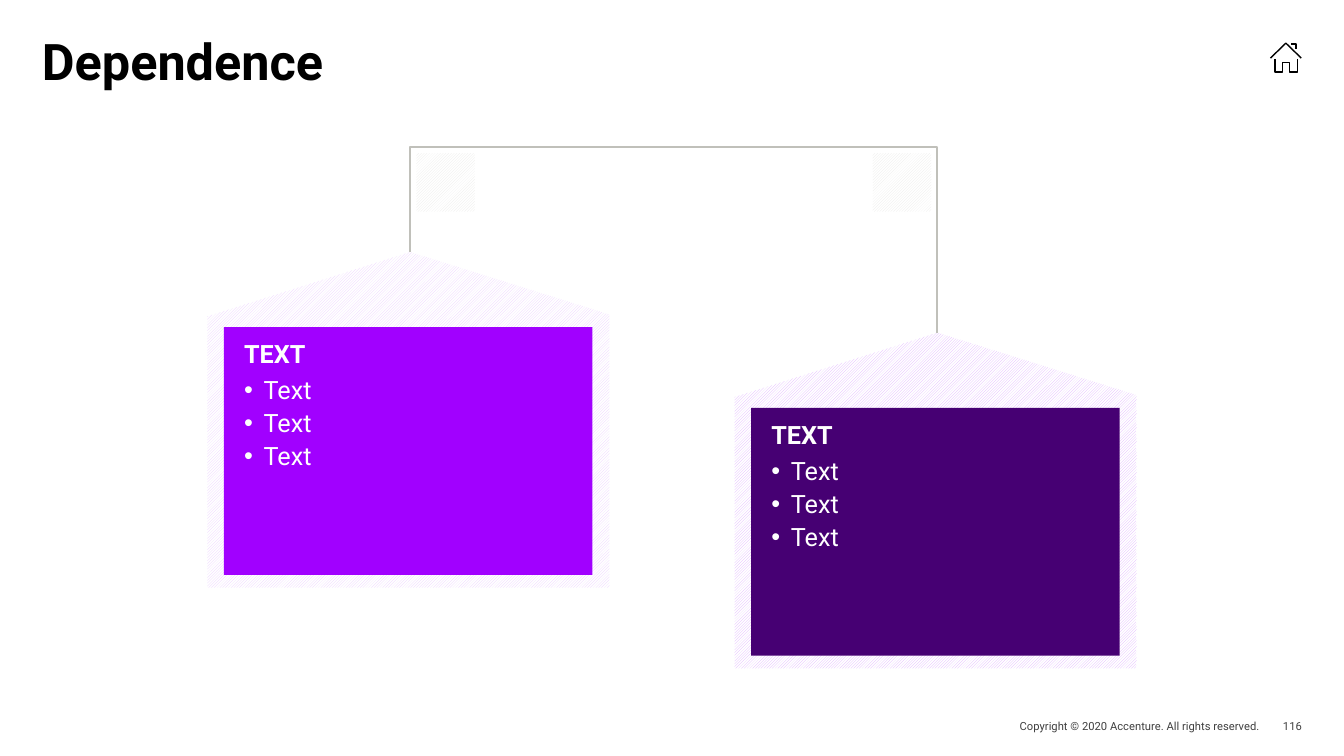
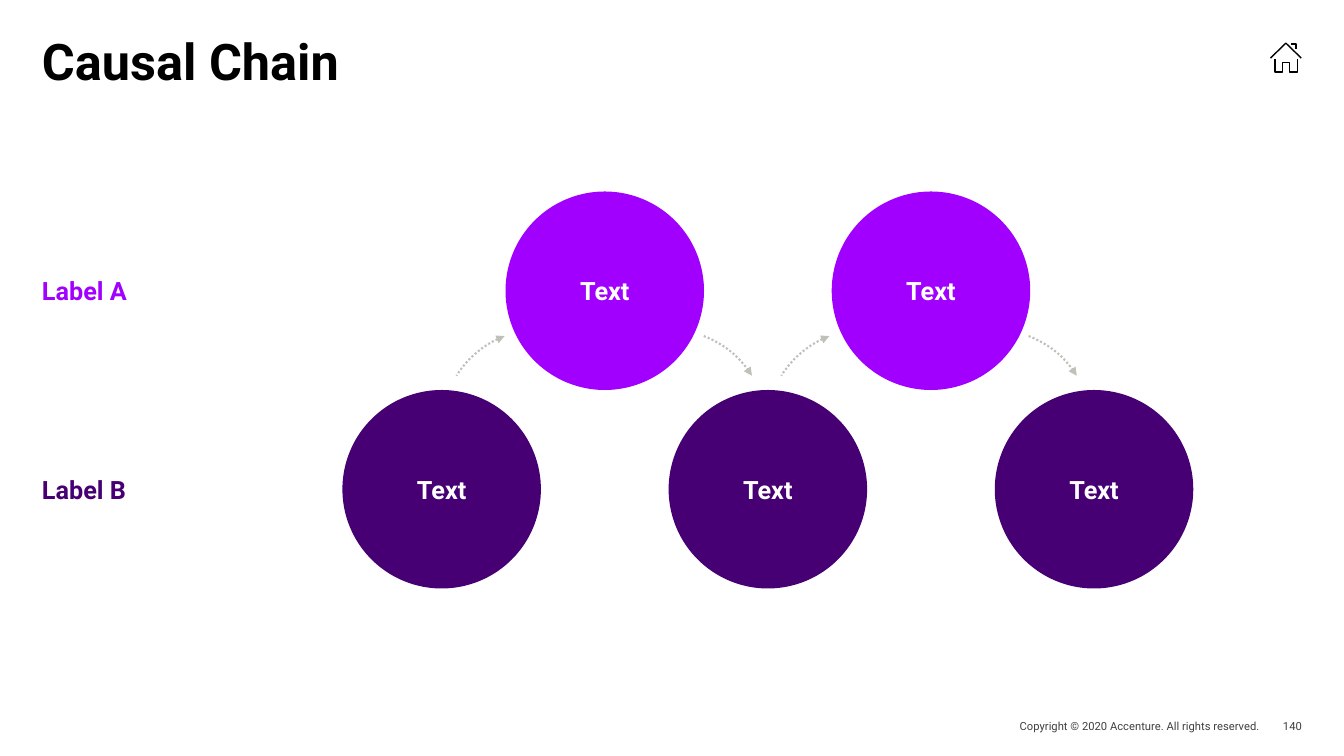
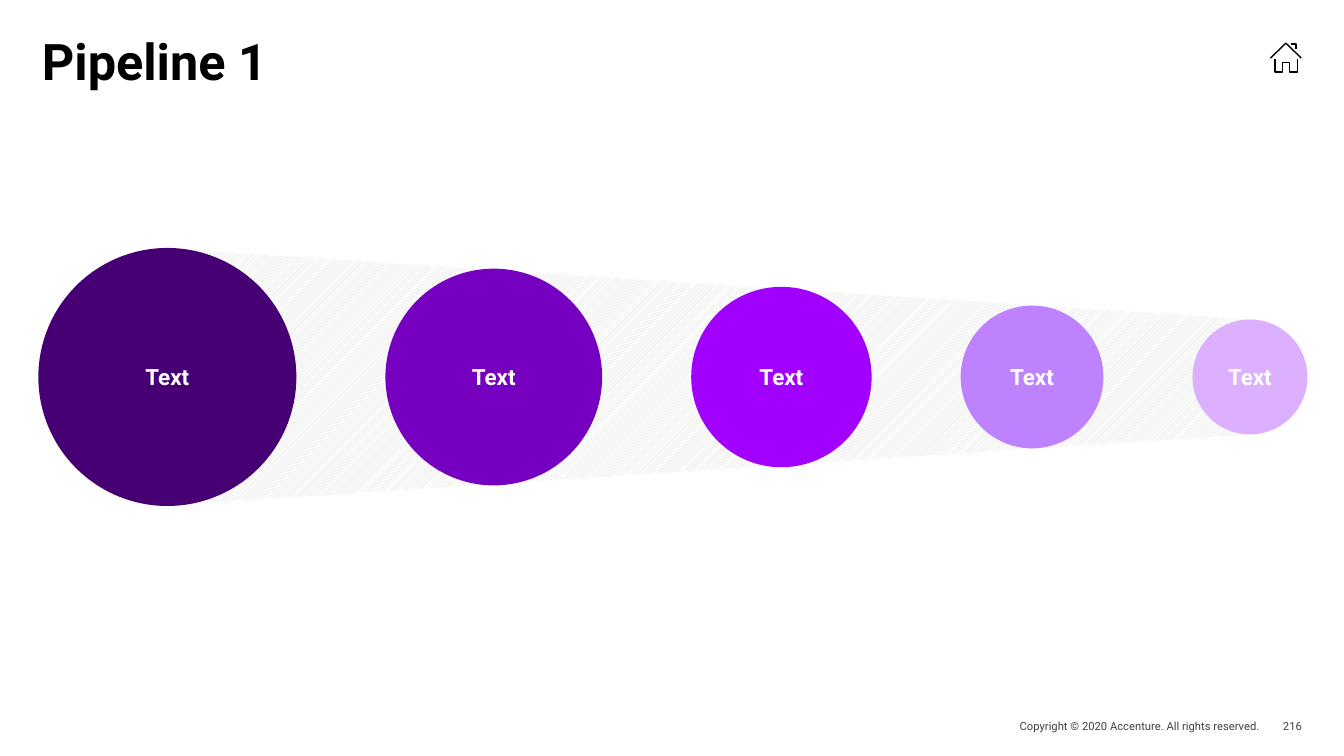
from lxml.etree import SubElement
from pptx import Presentation
from pptx.dml.color import RGBColor
from pptx.enum.dml import MSO_LINE, MSO_PATTERN
from pptx.enum.shapes import MSO_CONNECTOR, MSO_SHAPE
from pptx.enum.text import MSO_ANCHOR, MSO_AUTO_SIZE, PP_ALIGN
from pptx.oxml.ns import qn
from pptx.util import Pt

BLACK = RGBColor(0x00, 0x00, 0x00)
WHITE = RGBColor(0xFF, 0xFF, 0xFF)
FOOTER_GREY = RGBColor(0x40, 0x40, 0x40)
LINE_GREY = RGBColor(0xC0, 0xC0, 0xBA)
HATCH_GREY = RGBColor(0xD5, 0xD5, 0xD1)
HATCH_PALE = RGBColor(0xEA, 0xEA, 0xE8)
HATCH_LILAC = RGBColor(0xEC, 0xCC, 0xFF)
HATCH_MAUVE = RGBColor(0xE0, 0xB0, 0xFF)
DARK_PURPLE = RGBColor(0x46, 0x00, 0x73)
MID_PURPLE = RGBColor(0x75, 0x00, 0xC0)
PURPLE = RGBColor(0xA1, 0x00, 0xFF)
LIGHT_PURPLE = RGBColor(0xBE, 0x82, 0xFF)
PALE_PURPLE = RGBColor(0xDC, 0xAF, 0xFF)

FONT = "Roboto"
TITLE_ONLY, TWO_CONTENT = 5, 3
MARGIN = 30
COPYRIGHT = "Copyright © 2020 Accenture. All rights reserved."
HOME_ICON = (
    [(907.5, 41.5), (918.5, 30.8), (929.5, 41.5)],
    [(922.2, 31.3), (925.7, 31.3), (925.7, 35)],
    [(910.7, 42), (910.7, 51.4), (916.3, 51.4), (916.3, 44.6),
     (921, 44.6), (921, 51.4), (926.7, 51.4), (926.7, 42)],
)


def add_text(paragraph, text, size=18, color=WHITE, bold=False,
             align=PP_ALIGN.LEFT, spacing=None, before=0, after=0):
    """Write one formatted run into a paragraph."""
    paragraph.alignment = align
    paragraph.space_before = Pt(before)
    paragraph.space_after = Pt(after)
    if spacing:
        paragraph.line_spacing = spacing
    span = paragraph.add_run()
    span.text = text
    span.font.name = FONT
    span.font.size = Pt(size)
    span.font.bold = bold
    span.font.color.rgb = color


def set_bullet(paragraph, indent=0):
    """Give a paragraph a hanging bullet, or none without an indent."""
    properties = paragraph._p.get_or_add_pPr()
    properties.set("marL", str(Pt(indent)))
    properties.set("indent", str(-Pt(indent)))
    if indent:
        SubElement(properties, qn("a:buChar"), char="•")
    else:
        SubElement(properties, qn("a:buNone"))


def set_frame(shape, insets=(0, 0, 0, 0), anchor=MSO_ANCHOR.MIDDLE, wrap=True):
    frame = shape.text_frame
    frame.auto_size = MSO_AUTO_SIZE.NONE
    frame.word_wrap = wrap
    frame.vertical_anchor = anchor
    (frame.margin_left, frame.margin_top,
     frame.margin_right, frame.margin_bottom) = map(Pt, insets)
    return frame


def place(shape, *bounds):
    shape.left, shape.top, shape.width, shape.height = map(Pt, bounds)


def hatch(shape, color):
    shape.fill.patterned()
    shape.fill.pattern = MSO_PATTERN.DARK_UPWARD_DIAGONAL
    shape.fill.fore_color.rgb = color
    shape.fill.back_color.rgb = WHITE
    shape.line.fill.background()
    shape.shadow.inherit = False


def stroke(shape, color, width):
    shape.line.color.rgb = color
    shape.line.width = Pt(width)


class SlideMaker:
    """Holds the shared style and the slide being drawn."""

    def __init__(self):
        self.deck = Presentation()
        self.deck.slide_width, self.deck.slide_height = Pt(960), Pt(540)
        self.page = None

    def new_page(self, title, number, layout=TITLE_ONLY):
        self.page = self.deck.slides.add_slide(self.deck.slide_layouts[layout])
        heading = self.page.shapes.title
        place(heading, MARGIN, 30, 900, 78)
        frame = set_frame(heading, anchor=MSO_ANCHOR.TOP)
        add_text(frame.paragraphs[0], title, size=36, color=BLACK, bold=True, spacing=0.8)
        footer = dict(size=8, color=FOOTER_GREY, align=PP_ALIGN.RIGHT)
        self.label(COPYRIGHT, 655.2, 510.5, 244.8, 16, **footer)
        self.label(number, 900, 510.5, 30, 16, **footer)
        icon = self.outline(*HOME_ICON, close=False)
        icon.fill.background()
        stroke(icon, BLACK, 1)

    def label(self, text, left, top, width, height, **style):
        box = self.page.shapes.add_textbox(*map(Pt, (left, top, width, height)))
        add_text(set_frame(box).paragraphs[0], text, **style)

    def outline(self, *contours, close=True):
        builder = None
        for contour in contours:
            points = [(Pt(x), Pt(y)) for x, y in contour]
            if builder is None:
                builder = self.page.shapes.build_freeform(*points[0], scale=1.0)
            else:
                builder.move_to(*points[0])
            builder.add_line_segments(points[1:], close=close)
        shape = builder.convert_to_shape()
        shape.shadow.inherit = False
        return shape

    def circle(self, text, left, top, diameter, color, size=18, inset=6):
        shape = self.page.shapes.add_shape(
            MSO_SHAPE.OVAL, *map(Pt, (left, top, diameter, diameter)))
        shape.shadow.inherit = False
        shape.fill.solid()
        shape.fill.fore_color.rgb = color
        shape.line.fill.background()
        frame = set_frame(shape, (inset,) * 4, wrap=False)
        add_text(frame.paragraphs[0], text, size=size, bold=True, align=PP_ALIGN.CENTER)

    def hatched_square(self, left, top, side):
        shape = self.page.shapes.add_shape(
            MSO_SHAPE.RECTANGLE, *map(Pt, (left, top, side, side)))
        hatch(shape, HATCH_PALE)

    def house(self, apex_x, apex_y, hatch_color):
        left, right, bottom = apex_x - 144.8, apex_x + 142.2, apex_y + 239.8
        shape = self.outline([(apex_x, apex_y), (right, apex_y + 44.6), (right, bottom),
                              (left, bottom), (left, apex_y + 46)])
        hatch(shape, hatch_color)

    def panel(self, index, left, top, color, heading, items):
        box = self.page.placeholders[index]
        place(box, left, top, 263.2, 177)
        box.fill.solid()
        box.fill.fore_color.rgb = color
        frame = set_frame(box, (14.4, 11.5, 6, 6), MSO_ANCHOR.TOP)
        set_bullet(frame.paragraphs[0])
        add_text(frame.paragraphs[0], heading, bold=True, spacing=0.85, after=3)
        for item in items:
            paragraph = frame.add_paragraph()
            set_bullet(paragraph, indent=14)
            add_text(paragraph, item, spacing=1.0, before=1, after=1)
        # Bring the panel in front of its house
        self.page.shapes._spTree.append(box._element)

    def bracket(self, start, end, rail_y):
        """Link two points from above with an elbow connector turned a quarter."""
        (x1, y1), (x2, y2) = start, end
        center_x, center_y = (x1 + x2) / 2, (y1 + y2) / 2
        half_width, half_height = (y2 - y1) / 2, (x2 - x1) / 2
        link = self.page.shapes.add_connector(MSO_CONNECTOR.ELBOW, *map(Pt, (
            center_x - half_width, center_y + half_height,
            center_x + half_width, center_y - half_height)))
        link.rotation = 90
        bend = round((rail_y - y1) / (y2 - y1) * 100000)
        properties = link._element.spPr
        guides = properties.find(qn("a:prstGeom")).get_or_add_avLst()
        SubElement(guides, qn("a:gd"), name="adj1", fmla=f"val {bend}")
        stroke(link, LINE_GREY, 1.5)
        SubElement(properties, qn("a:effectLst"))

    def curved_arrow(self, left, top, diameter, rising):
        arc = self.page.shapes.add_shape(
            MSO_SHAPE.ARC, *map(Pt, (left, top, diameter, diameter)))
        # Angles in degrees; an adjustment unit is 100000 / 60000 degrees
        for index, angle in enumerate((291, 328)):
            arc.adjustments[index] = angle * 0.6
        arc.fill.background()
        stroke(arc, LINE_GREY, 1.5)
        arc.line.dash_style = MSO_LINE.ROUND_DOT
        properties = arc._element.spPr
        if rising:
            properties.find(qn("a:xfrm")).set("flipH", "1")
        tip = "a:headEnd" if rising else "a:tailEnd"
        SubElement(properties.find(qn("a:ln")), qn(tip), type="triangle")
        arc.shadow.inherit = False


def dependence(maker):
    maker.new_page("Dependence", "116", TWO_CONTENT)
    rail_y, square, gap = 105, 41.8, 4.4
    first, second = (293, 180), (669.6, 237.6)
    houses = ((first, HATCH_LILAC, PURPLE), (second, HATCH_MAUVE, DARK_PURPLE))
    for index, ((x, y), hatch_color, color) in enumerate(houses, 1):
        maker.house(x, y, hatch_color)
        maker.panel(index, x - 133.1, y + 53.7, color, "TEXT", ["Text"] * 3)
    for left in (first[0] + gap, second[0] - gap - square):
        maker.hatched_square(left, rail_y + gap, square)
    maker.bracket(first, second, rail_y)


def causal_chain(maker):
    maker.new_page("Causal Chain", "140")
    diameter = 141.8
    rows = (("Label B", 278.6, DARK_PURPLE), ("Label A", 136.8, PURPLE))
    for text, top, color in rows:
        maker.label(text, MARGIN, top + diameter / 2 - 13.3, 214.6, 26.6,
                    color=color, bold=True)
    # Circles alternate between the lower and the upper row
    for step in range(5):
        _, top, color = rows[step % 2]
        maker.circle("Text", 244.6 + 116.5 * step, top, diameter, color)
    for step in range(4):
        pair, falling = divmod(step, 2)
        maker.curved_arrow(315.4 + 232 * pair + 92 * falling, 235.4, 140.4, not falling)


def pipeline(maker):
    maker.new_page("Pipeline 1", "216")
    funnel = maker.outline([(112.3, 177.1), (905, 229), (905, 309.6), (112.3, 361.4)])
    hatch(funnel, HATCH_GREY)
    # Shrinking circles with equal gaps on one axis
    left, gap, axis_y = 27.4, 63.6, 269.3
    stages = ((184.3, DARK_PURPLE), (154.8, MID_PURPLE), (128.9, PURPLE),
              (102, LIGHT_PURPLE), (82.1, PALE_PURPLE))
    for diameter, color in stages:
        maker.circle("Text", left, axis_y - diameter / 2, diameter, color, size=16, inset=3.6)
        left += diameter + gap


def main():
    maker = SlideMaker()
    for draw in (dependence, causal_chain, pipeline):
        draw(maker)
    maker.deck.save("out.pptx")


if __name__ == "__main__":
    main()
